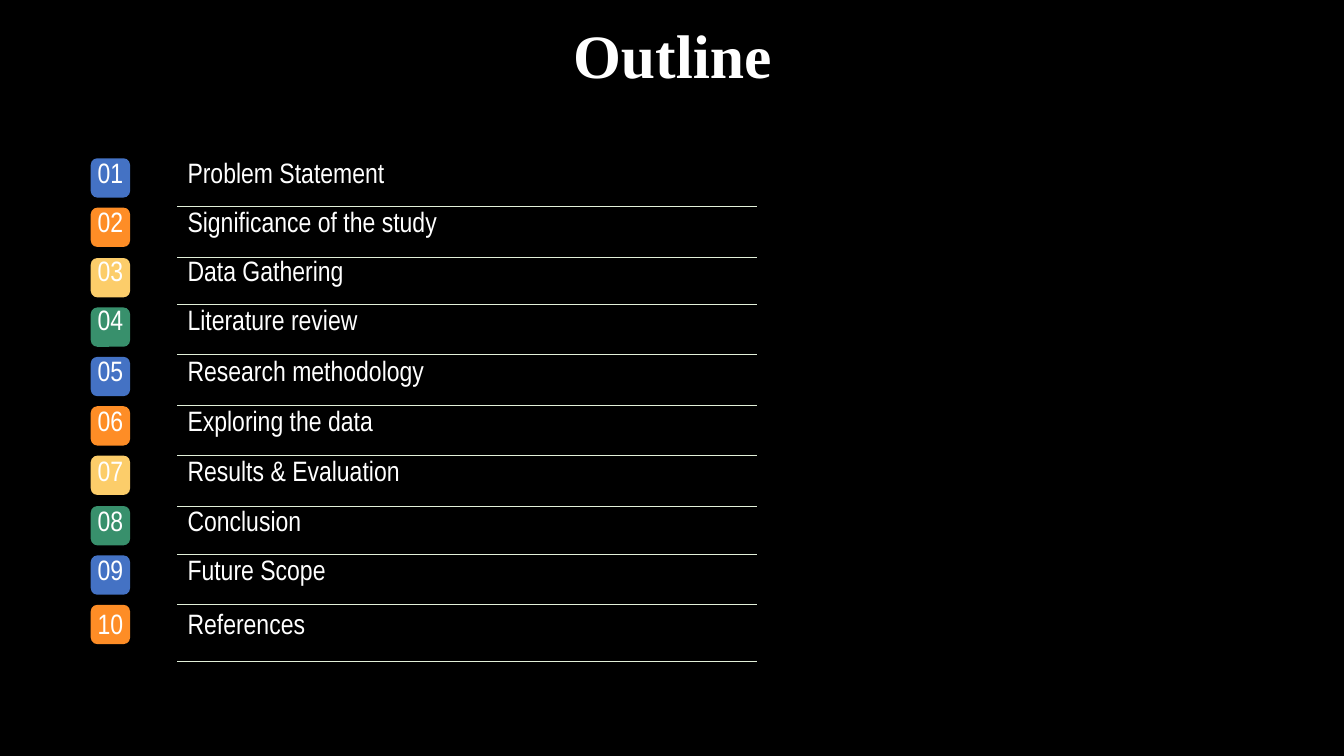
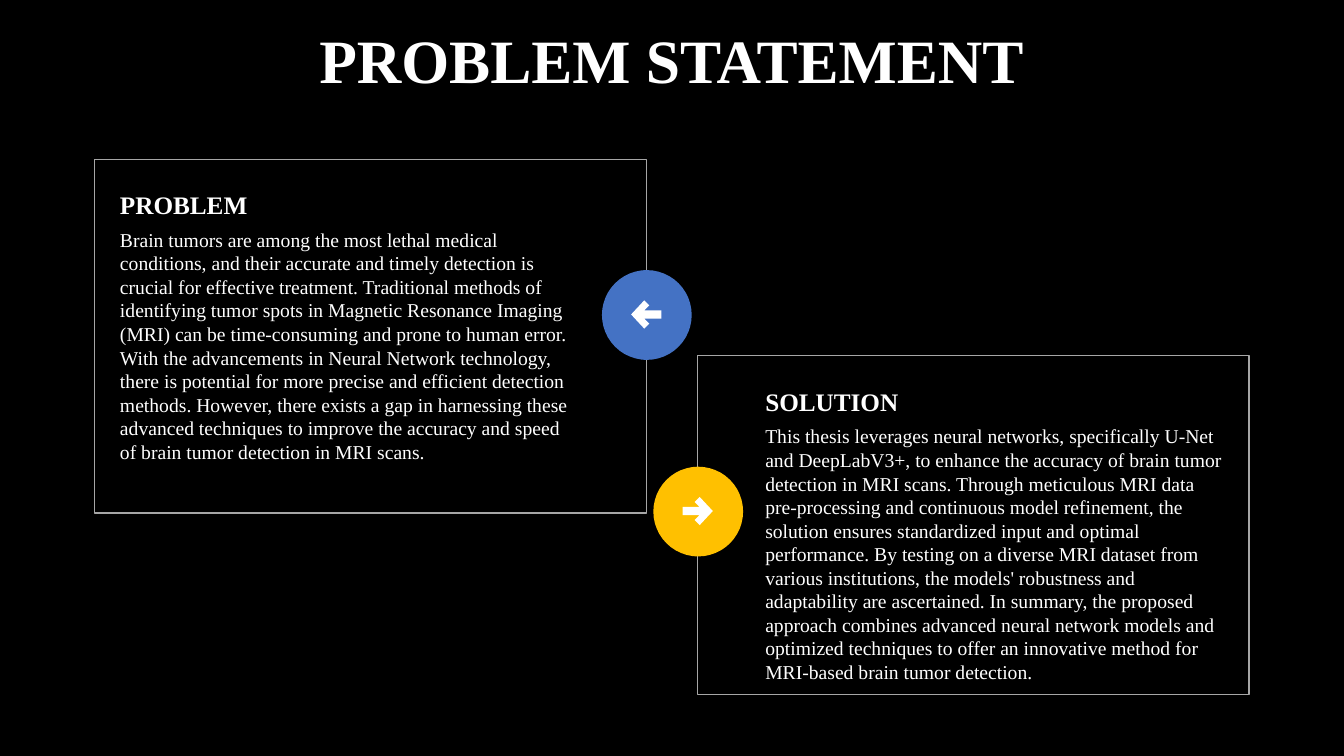
from dataclasses import dataclass
from typing import Any

from lxml.etree import SubElement
from pptx import Presentation
from pptx.dml.color import RGBColor
from pptx.enum.shapes import MSO_SHAPE
from pptx.enum.text import MSO_ANCHOR, MSO_AUTO_SIZE, PP_ALIGN
from pptx.oxml.ns import qn
from pptx.util import Pt

EMU_PER_PX = 9144  # 100 px to the inch
COLORS = {
    "background": "000000",
    "text": "FFFFFF",
    "blue": "4472C4",
    "orange": "FE8D26",
    "yellow": "FCCD6A",
    "green": "38906C",
    "gold": "FFC000",
    "panel_line": "A6A6A6",
    "rule": "E2F0D9",
}
SERIF = "Times New Roman"
TITLE = {"name": SERIF, "size": Pt(44), "bold": True}
HEADING = {"name": SERIF, "size": Pt(18), "bold": True}
BODY = {"name": SERIF, "size": Pt(14)}
ENTRY = {"name": "Arial Narrow", "size": Pt(20)}
NO_TABLE_STYLE = "{2D5ABB26-0587-4C30-8999-92F81FD0307C}"

TOPICS = (
    "Problem Statement", "Significance of the study", "Data Gathering",
    "Literature review", "Research methodology", "Exploring the data",
    "Results & Evaluation", "Conclusion", "Future Scope", "References",
)
ROW_HEIGHTS = (49, 50, 47, 50, 50, 50, 50, 48, 50, 56)
COLUMN_WIDTHS = (133, 575)
BADGE_COLORS = ("blue", "orange", "yellow", "green")
BADGE_SIZE, BADGE_PITCH = 39, 49.25

PANEL_WIDTH, TEXT_WIDTH = 547, 455
CIRCLE_SIZE, CIRCLE_DROP = 89, 110
# Left-pointing arrow, relative to the centre of its circle
ARROW = ((15, -4), (-2, -4), (3, -9), (-2, -14), (-15, 0),
         (-2, 14), (3, 9), (-2, 4), (15, 4))


@dataclass(frozen=True)
class Box:
    left: int
    top: int
    width: int
    height: int

    def emu(self) -> tuple[int, ...]:
        return tuple(px(n) for n in (self.left, self.top, self.width, self.height))


@dataclass(frozen=True)
class Panel:
    frame: Box
    heading: str
    body: str
    text_inset: int
    body_height: int
    circle_x: int
    circle_color: str
    arrow_sign: int


PANELS = (
    Panel(
        Box(692, 353, PANEL_WIDTH, 336), "SOLUTION",
        "This thesis leverages neural networks, specifically U-Net and DeepLabV3+, "
        "to enhance the accuracy of brain tumor detection in MRI scans. Through "
        "meticulous MRI data pre-processing and continuous model refinement, the "
        "solution ensures standardized input and optimal performance. By testing on "
        "a diverse MRI dataset from various institutions, the models' robustness and "
        "adaptability are ascertained. In summary, the proposed approach combines "
        "advanced neural network models and optimized techniques to offer an "
        "innovative method for MRI-based brain tumor detection.",
        67, 259, 692, "gold", -1),
    Panel(
        Box(94, 158, PANEL_WIDTH, 351), "PROBLEM",
        "Brain tumors are among the most lethal medical conditions, and their "
        "accurate and timely detection is crucial for effective treatment. "
        "Traditional methods of identifying tumor spots in Magnetic Resonance "
        "Imaging (MRI) can be time-consuming and prone to human error. With the "
        "advancements in Neural Network technology, there is potential for more "
        "precise and efficient detection methods. However, there exists a gap in "
        "harnessing these advanced techniques to improve the accuracy and speed of "
        "brain tumor detection in MRI scans.",
        25, 236, 641, "blue", 1),
)


def px(length: float) -> int:
    return round(length * EMU_PER_PX)


def color(name: str) -> RGBColor:
    return RGBColor.from_string(COLORS[name])


def set_all(target: Any, values: dict[str, Any]) -> None:
    for name, value in values.items():
        setattr(target, name, value)


def write(frame: Any, text: str, font: dict[str, Any], **paragraph: Any) -> None:
    """Fill a text frame with one white paragraph."""
    para = frame.paragraphs[0]
    set_all(para, paragraph)
    span = para.add_run()
    span.text = text
    set_all(span.font, font)
    span.font.color.rgb = color("text")


def paint(shape: Any, fill: str) -> None:
    shape.shadow.inherit = False
    shape.fill.solid()
    shape.fill.fore_color.rgb = color(fill)
    shape.line.fill.background()


def add_page(deck: Any, title: str, title_box: Box) -> Any:
    page = deck.slides.add_slide(deck.slide_layouts[6])
    page.background.fill.solid()
    page.background.fill.fore_color.rgb = color("background")
    frame = page.shapes.add_textbox(*title_box.emu()).text_frame
    frame.word_wrap = True
    write(frame, title, TITLE, alignment=PP_ALIGN.CENTER, line_spacing=0.9)
    return page


def add_text(page: Any, box: Box, text: str, font: dict[str, Any]) -> None:
    """Add a text box without margins."""
    frame = page.shapes.add_textbox(*box.emu()).text_frame
    set_all(frame, {
        "word_wrap": True, "auto_size": MSO_AUTO_SIZE.SHAPE_TO_FIT_TEXT,
        "margin_left": 0, "margin_right": 0, "margin_top": 0, "margin_bottom": 0,
    })
    write(frame, text, font)


def underline(cell: Any) -> None:
    """Draw the bottom border of a table cell."""
    line = SubElement(cell._tc.get_or_add_tcPr(), qn("a:lnB"), w=str(Pt(0.5)))
    fill = SubElement(line, qn("a:solidFill"))
    SubElement(fill, qn("a:srgbClr"), val=COLORS["rule"])


def add_badges(page: Any) -> None:
    for index in range(len(TOPICS)):
        box = Box(90, round(157 + index * BADGE_PITCH), BADGE_SIZE, BADGE_SIZE)
        badge = page.shapes.add_shape(MSO_SHAPE.ROUNDED_RECTANGLE, *box.emu())
        paint(badge, BADGE_COLORS[index % len(BADGE_COLORS)])


def add_topic_table(page: Any) -> None:
    box = Box(43, 156, sum(COLUMN_WIDTHS), sum(ROW_HEIGHTS))
    table = page.shapes.add_table(len(TOPICS), len(COLUMN_WIDTHS), *box.emu()).table
    set_all(table, {"first_row": False, "horz_banding": False})
    table._tbl.tblPr.find(qn("a:tableStyleId")).text = NO_TABLE_STYLE
    for column, width in zip(table.columns, COLUMN_WIDTHS):
        column.width = px(width)
    for index, (topic, height) in enumerate(zip(TOPICS, ROW_HEIGHTS)):
        row = table.rows[index]
        row.height = px(height)
        number_cell, topic_cell = row.cells
        set_all(number_cell, {"margin_left": 0, "margin_right": 0})
        underline(topic_cell)
        for cell, text, alignment in (
            (number_cell, f"{index + 1:02}", PP_ALIGN.CENTER),
            (topic_cell, topic, PP_ALIGN.LEFT),
        ):
            cell.vertical_anchor = MSO_ANCHOR.MIDDLE
            cell.fill.background()
            write(cell.text_frame, text, ENTRY, alignment=alignment,
                  line_spacing=Pt(10))


def add_frame(page: Any, panel: Panel) -> None:
    frame = page.shapes.add_shape(MSO_SHAPE.RECTANGLE, *panel.frame.emu())
    frame.shadow.inherit = False
    frame.fill.background()
    frame.line.color.rgb = color("panel_line")
    frame.line.width = Pt(1)


def add_arrow_circle(page: Any, panel: Panel) -> None:
    radius = CIRCLE_SIZE // 2
    box = Box(panel.circle_x - radius, panel.frame.top + CIRCLE_DROP,
              CIRCLE_SIZE, CIRCLE_SIZE)
    circle = page.shapes.add_shape(MSO_SHAPE.OVAL, *box.emu())
    paint(circle, panel.circle_color)
    points = [(px(panel.circle_x + panel.arrow_sign * x), px(box.top + radius + y))
              for x, y in ARROW]
    builder = page.shapes.build_freeform(*points[0])
    builder.add_line_segments(points[1:], close=True)
    paint(builder.convert_to_shape(), "text")


def add_panel_text(page: Any, panel: Panel) -> None:
    left, top = panel.frame.left + panel.text_inset, panel.frame.top
    add_text(page, Box(left, top + 30, TEXT_WIDTH, 30), panel.heading, HEADING)
    add_text(page, Box(left, top + 68, TEXT_WIDTH, panel.body_height),
             panel.body, BODY)


def main() -> None:
    deck = Presentation()
    set_all(deck, {"slide_width": px(1333), "slide_height": px(750)})

    outline = add_page(deck, "Outline", Box(92, 20, 1150, 94))
    add_badges(outline)
    add_topic_table(outline)

    statement = add_page(deck, "PROBLEM STATEMENT", Box(73, 25, 1187, 54))
    for draw in (add_frame, add_arrow_circle, add_panel_text):
        for panel in PANELS:
            draw(statement, panel)

    deck.save("out.pptx")


if __name__ == "__main__":
    main()
